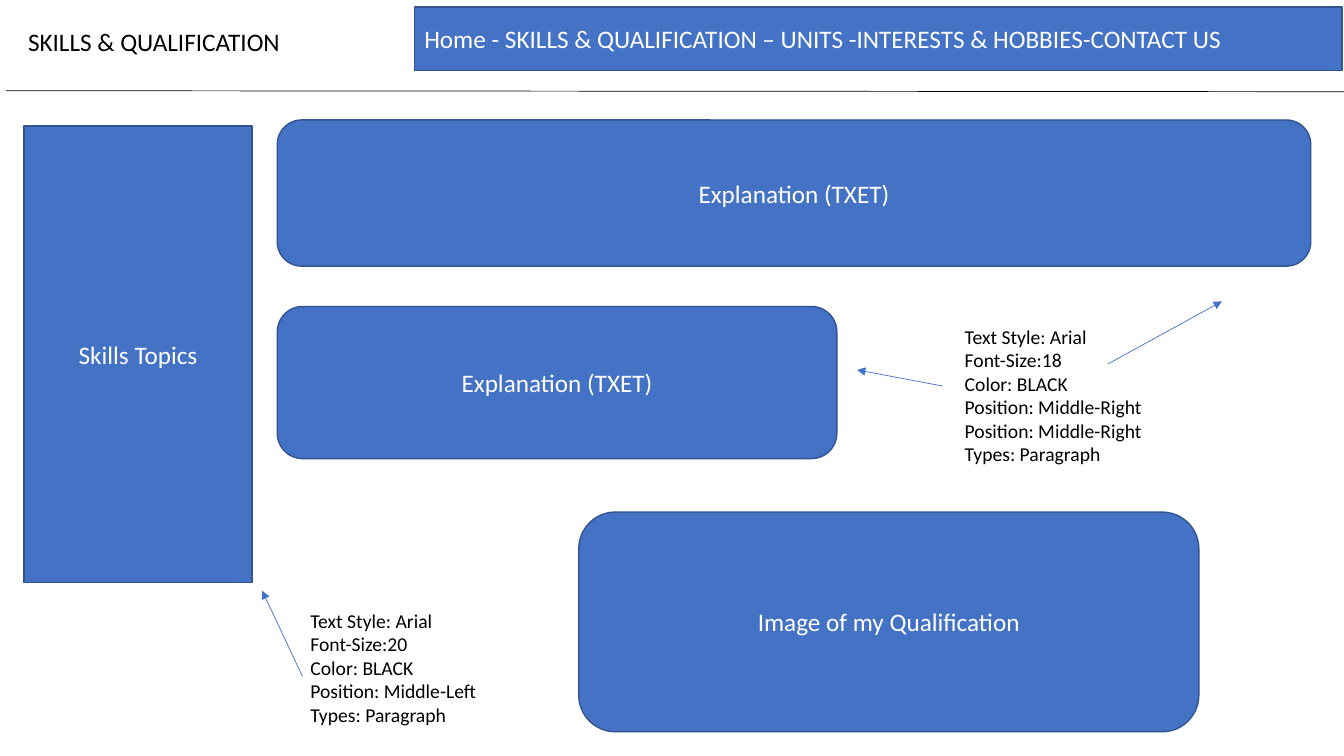
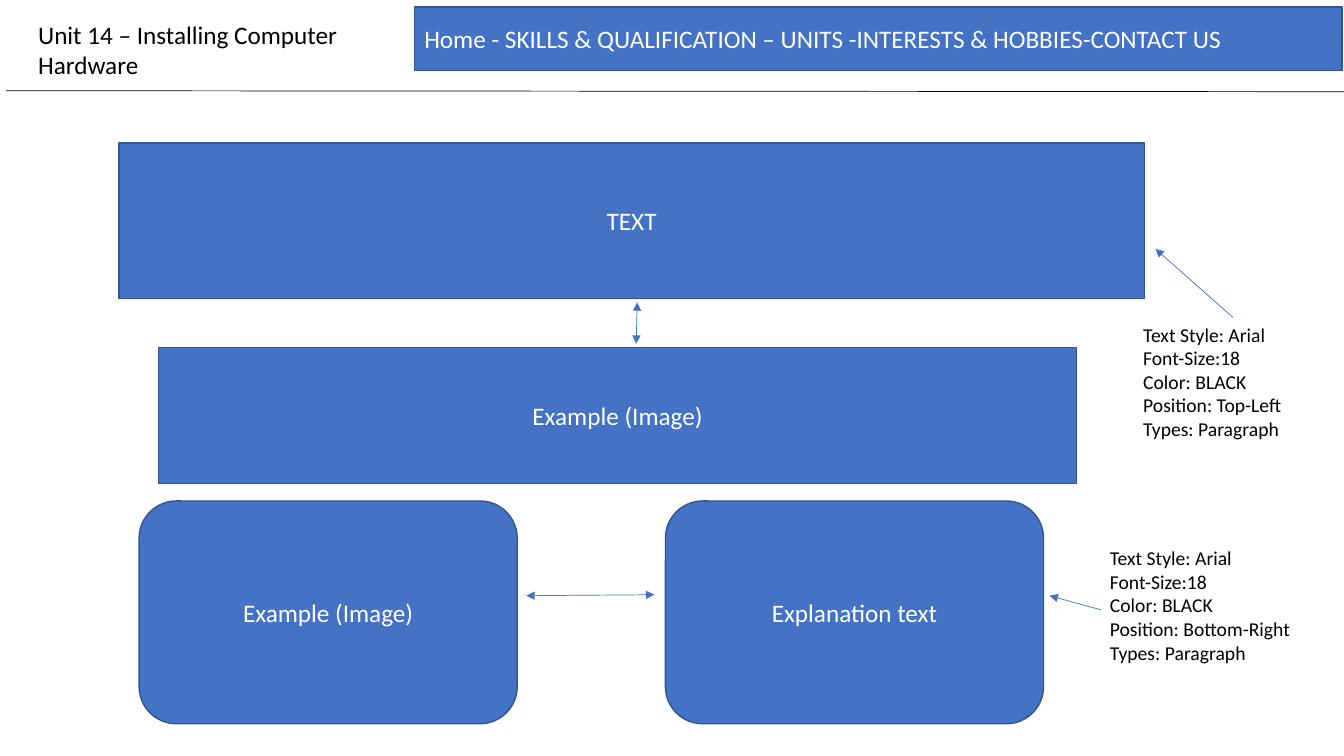
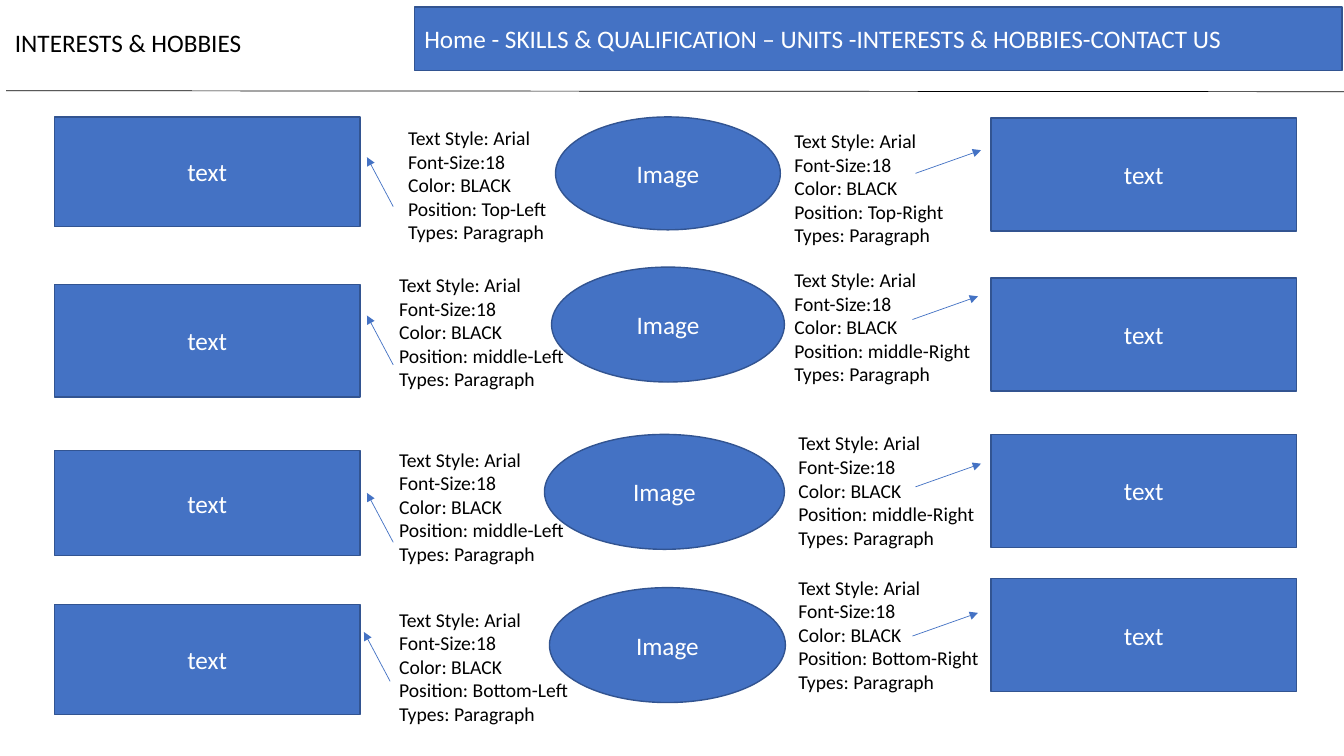
from lxml import etree
from pptx import Presentation
from pptx import util as u
from pptx.dml.color import RGBColor
from pptx.enum import shapes, text
from pptx.oxml.ns import qn

COLORS = {"fill": "4472C4", "edge": "325491", "ink": "000000", "paper": "FFFFFF"}
FONT = "Calibri"
NAV = "Home - SKILLS & QUALIFICATION – UNITS -INTERESTS & HOBBIES-CONTACT US"
RECT = shapes.MSO_SHAPE.RECTANGLE
ROUND = shapes.MSO_SHAPE.ROUNDED_RECTANGLE
OVAL = shapes.MSO_SHAPE.OVAL
LEFT, CENTER = text.PP_ALIGN.LEFT, text.PP_ALIGN.CENTER


def add_box(s, at, lines, kind=None, size=18, align=LEFT):
    """Add a filled shape of the given kind, or a plain text box if there is none."""
    at = [u.Inches(v) for v in at]
    if kind is None:
        sp = s.shapes.add_textbox(*at)
        frame = {"word_wrap": True, "auto_size": text.MSO_AUTO_SIZE.SHAPE_TO_FIT_TEXT}
        ink = COLORS["ink"]
    else:
        sp = s.shapes.add_shape(kind, *at)
        sp.shadow.inherit = False
        sp.fill.solid()
        sp.fill.fore_color.rgb = RGBColor.from_string(COLORS["fill"])
        sp.line.color.rgb = RGBColor.from_string(COLORS["edge"])
        sp.line.width = u.Pt(1)
        frame = {"word_wrap": True, "vertical_anchor": text.MSO_ANCHOR.MIDDLE}
        ink = COLORS["paper"]
    tf = sp.text_frame
    for name, value in frame.items():
        setattr(tf, name, value)
    for i, line in enumerate(lines):
        p = tf.add_paragraph() if i else tf.paragraphs[0]
        p.alignment = align
        r = p.add_run()
        r.text = line
        for name, value in {"name": FONT, "size": u.Pt(size)}.items():
            setattr(r.font, name, value)
        r.font.color.rgb = RGBColor.from_string(ink)


def add_line(s, ends, color, heads=()):
    """Add a thin line; heads may hold headEnd (start) and tailEnd (finish)."""
    cx = s.shapes.add_connector(
        shapes.MSO_CONNECTOR.STRAIGHT, *[u.Inches(v) for v in ends])
    cx.line.color.rgb = RGBColor.from_string(color)
    cx.line.width = u.Pt(0.5)
    for head in heads:
        etree.SubElement(cx.line._get_or_add_ln(), qn("a:" + head), type="triangle")
    etree.SubElement(cx._element.spPr, qn("a:effectLst"))


# Boxes: kind, position, label. Notes: left, top, font size, positions.
# Arrows: start and end point; double arrows have two heads.
skills = {
    "title": ("SKILLS & QUALIFICATION", (0.18, 0.21, 2.74, 0.4)),
    "boxes": [
        (ROUND, (2.75, 1.19, 10.25, 1.45), "Explanation (TXET)"),
        (ROUND, (2.75, 3.04, 5.55, 1.51), "Explanation (TXET)"),
        (RECT, (0.24, 1.25, 2.26, 4.53), "Skills Topics"),
        (ROUND, (5.74, 5.08, 6.15, 2.18), "Image of my Qualification"),
    ],
    "notes": [
        (9.47, 3.17, 18, ["Middle-Right", "Middle-Right"]),
        (2.98, 5.99, 20, ["Middle-Left"]),
    ],
    "arrows": [(9.35, 3.83, 8.5, 3.67), (10.99, 3.61, 12.12, 2.99), (3, 6.71, 2.6, 5.86)],
    "double": [],
}

unit = {
    "title": ("Unit 14 – Installing Computer Hardware", (0.28, 0.14, 3.66, 0.71)),
    "boxes": [
        (RECT, (1.18, 1.42, 10.17, 1.54), "TEXT"),
        (RECT, (1.57, 3.45, 9.11, 1.35), "Example (Image)"),
        (ROUND, (6.6, 4.97, 3.75, 2.21), "Explanation text"),
        (ROUND, (1.38, 4.97, 3.75, 2.21), "Example (Image)"),
    ],
    "notes": [
        (11.24, 3.15, 18, ["Top-Left"]),
        (10.91, 5.37, 18, ["Bottom-Right"]),
    ],
    "arrows": [(12.23, 3.15, 11.46, 2.47), (10.92, 6.05, 10.41, 5.91)],
    "double": [(5.22, 5.91, 6.49, 5.9), (6.31, 3.41, 6.32, 3)],
}

hobbies = {
    "title": ("INTERESTS & HOBBIES", (0.05, 0.22, 3.9, 0.4)),
    "boxes": [], "notes": [], "arrows": [], "double": [],
}
# Level, then per row: left box (top, height), oval, right box top,
# left and right note corners, left and right arrow starts.
hobby_rows = [
    ("Top", (1.16, 1.09), (5.51, 1.16, 2.23, 1.12), 1.17,
     (3.95, 1.2), (7.78, 1.23), (3.9, 2.05), (9.08, 1.72)),
    ("middle", (2.82, 1.12), (5.47, 2.65, 2.31, 1.14), 2.76,
     (3.86, 2.66), (7.78, 2.61), (3.9, 3.62), (9.05, 3.17)),
    ("middle", (4.47, 1.04), (5.4, 4.31, 2.38, 1.14), 4.31,
     (3.86, 4.39), (7.82, 4.23), (3.9, 5.38), (9.08, 4.83)),
    ("Bottom", (6, 1.09), (5.45, 5.83, 2.34, 1.14), 5.74,
     (3.86, 5.98), (7.82, 5.66), (3.87, 6.76), (9.05, 6.31)),
]
for level, (top, height), oval, right_top, l_note, r_note, l_start, r_start in hobby_rows:
    hobbies["boxes"] += [
        (RECT, (0.54, top, 3.03, height), "text"),
        (OVAL, oval, "Image"),
        (RECT, (9.83, right_top, 3.03, 1.12), "text"),
    ]
    for side, corner, (x, y), (dx, dy) in (
            ("Left", l_note, l_start, (-0.26, -0.49)),
            ("Right", r_note, r_start, (0.65, -0.23))):
        hobbies["notes"].append((*corner, 18, [f"{level}-{side}"]))
        hobbies["arrows"].append((x, y, x + dx, y + dy))

prs = Presentation()
prs.slide_width, prs.slide_height = u.Inches(13.33), u.Inches(7.5)

for page in (skills, unit, hobbies):
    s = prs.slides.add_slide(prs.slide_layouts[6])
    title, title_at = page["title"]
    add_box(s, title_at, [title])
    add_box(s, (4.11, 0.07, 9.2, 0.63), [NAV], RECT)
    add_line(s, (0.06, 0.9, 13.4, 0.91), COLORS["ink"])
    for kind, at, label in page["boxes"]:
        add_box(s, at, [label], kind, align=CENTER)
    for x, y, font_size, positions in page["notes"]:
        lines = ["Text Style: Arial", f"Font-Size:{font_size}", "Color: BLACK",
                 *[f"Position: {place}" for place in positions], "Types: Paragraph"]
        add_box(s, (x, y, 3, 1.28), lines, size=14)
    for ends in page["arrows"]:
        add_line(s, ends, COLORS["fill"], ["tailEnd"])
    for ends in page["double"]:
        add_line(s, ends, COLORS["fill"], ["headEnd", "tailEnd"])

prs.save("out.pptx")
